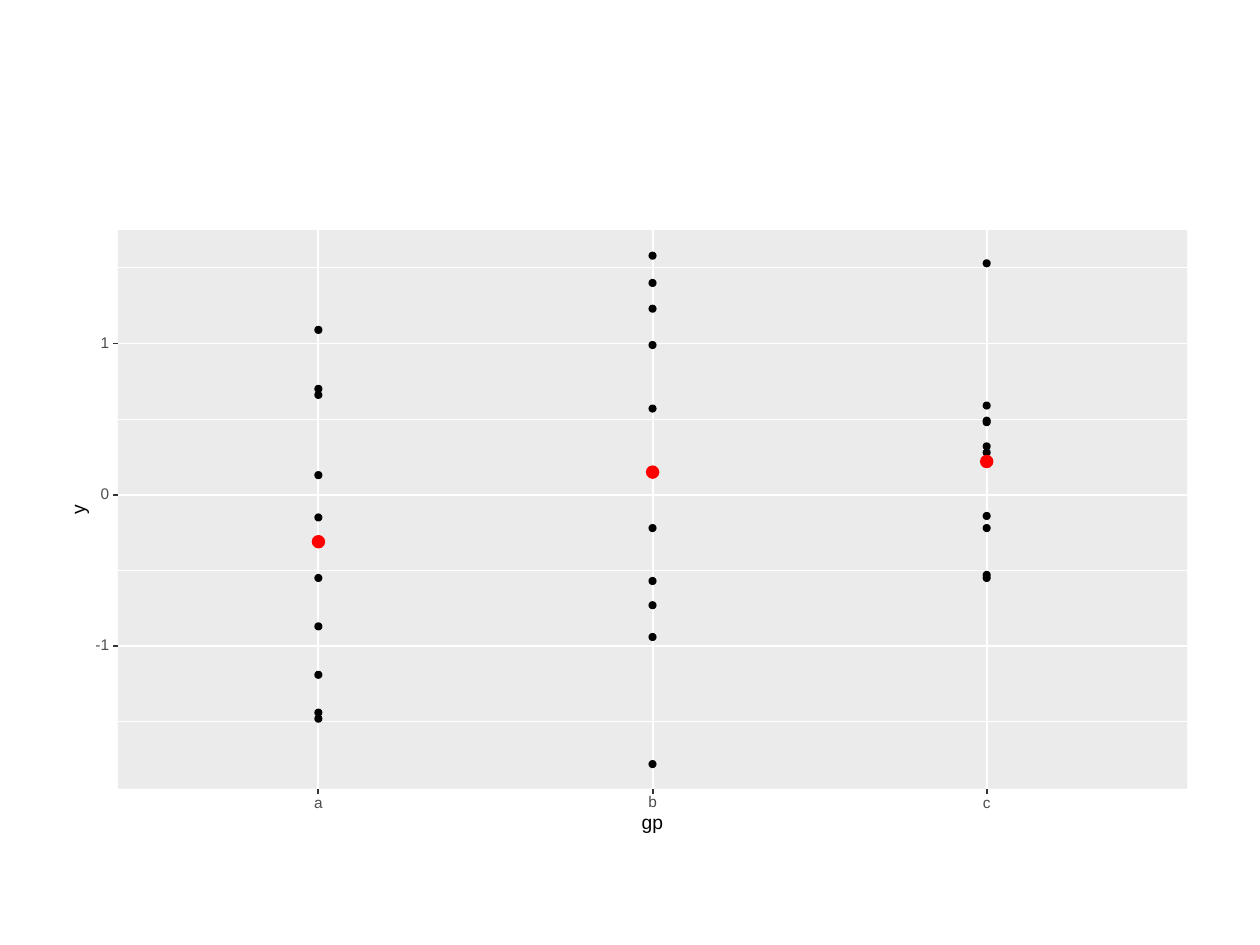
from lxml import etree
from pptx import Presentation
from pptx.dml.color import RGBColor
from pptx.enum.shapes import MSO_CONNECTOR, MSO_SHAPE
from pptx.enum.text import MSO_ANCHOR
from pptx.oxml.ns import qn
from pptx.util import Pt

STRAIGHT = MSO_CONNECTOR.STRAIGHT
RECTANGLE = MSO_SHAPE.RECTANGLE
OVAL = MSO_SHAPE.OVAL
MIDDLE = MSO_ANCHOR.MIDDLE

COLORS = {
    "white": "FFFFFF",
    "panel": "EBEBEB",
    "point": "000000",
    "mean": "FF0000",
    "tick": "333333",
    "label": "4D4D4D",
    "title": "000000",
}
THIN, THICK, OUTLINE = 0.53, 1.07, 0.71
TICK = 2.74
LEFT, TOP, WIDTH, HEIGHT = 67.4, 131.5, 611, 319.2
RIGHT, BOTTOM = LEFT + WIDTH, TOP + HEIGHT
ZERO, UNIT = 282.75, 86.45
STEP = WIDTH / 3.2

observations = {
    "a": [0.7, -1.19, -0.55, -1.44, -0.15, -1.48, -0.87, 0.13, 1.09, 0.66],
    "b": [-0.94, -0.22, 1.58, 1.23, 0.99, 1.4, -1.78, -0.73, -0.57, 0.57],
    "c": [-0.22, 0.32, -0.53, -0.55, 0.59, 0.49, 0.48, 1.53, -0.14, 0.28],
}
means = {"a": -0.31, "b": 0.15, "c": 0.22}
group_x = {name: LEFT + STEP * (0.6 + index) for index, name in enumerate(observations)}
major_y = {value: ZERO - value * UNIT for value in (-1, 0, 1)}
minor_y = [ZERO - value * UNIT for value in (-1.5, -0.5, 0.5, 1.5)]

presentation = Presentation()
presentation.slide_width, presentation.slide_height = Pt(720), Pt(540)
slide = presentation.slides.add_slide(presentation.slide_layouts[6])
plot = slide.shapes.add_group_shape().shapes


def add_filled(kind, box, fill, outline=None):
    shape = plot.add_shape(kind, *map(Pt, box))
    shape.shadow.inherit = False
    shape.fill.solid()
    shape.fill.fore_color.rgb = RGBColor.from_string(COLORS[fill])
    if outline:
        shape.line.color.rgb = RGBColor.from_string(COLORS[fill])
        shape.line.width = Pt(outline)
    else:
        shape.line.fill.background()


def add_line(ends, color, width):
    connector = plot.add_connector(STRAIGHT, *map(Pt, ends))
    connector.line.color.rgb = RGBColor.from_string(COLORS[color])
    connector.line.width = Pt(width)
    etree.SubElement(connector._element.spPr, qn("a:effectLst"))


add_filled(RECTANGLE, (36, 126, 648, 356.4), "white", THICK)
add_filled(RECTANGLE, (LEFT, TOP, WIDTH, HEIGHT), "panel")

for y in minor_y:
    add_line((LEFT, y, RIGHT, y), "white", THIN)
for y in reversed(major_y.values()):
    add_line((LEFT, y, RIGHT, y), "white", THICK)
for x in group_x.values():
    add_line((x, BOTTOM, x, TOP), "white", THICK)

dots = [(name, value, 3.9, "point") for name in observations for value in observations[name]]
dots += [(name, value, 7, "mean") for name, value in means.items()]
for name, value, size, color in dots:
    x, y = group_x[name] - size / 2, ZERO - value * UNIT - size / 2
    add_filled(OVAL, (x, y, size, size), color, OUTLINE)

axis = {"size": 8.8, "color": "label", "rotation": 0}
title = {"size": 11, "color": "title", "rotation": 0}
texts = []
for value, y in major_y.items():
    add_line((LEFT - TICK, y, LEFT, y), "tick", THICK)
    width = 7.85 if value < 0 else 4.9
    texts.append((str(value), (62.4 - width, y - 3.15, width, 6.3), axis))
for x in group_x.values():
    add_line((x, BOTTOM + TICK, x, BOTTOM), "tick", THICK)
for name, width, height in (("a", 4.9, 4.8), ("b", 4.9, 6.4), ("c", 4.4, 4.8)):
    texts.append((name, (group_x[name] - width / 2, 461.9 - height, width, height), axis))
texts.append(("gp", (LEFT + WIDTH / 2 - 6.25, 466.6, 12.5, 7.9), title))
texts.append(("y", (42.6, TOP + HEIGHT / 2 - 3.95, 5.5, 7.9), title | {"rotation": 270}))

frame_format = {
    "margin_left": 0,
    "margin_right": 0,
    "margin_top": 0,
    "margin_bottom": 0,
    "vertical_anchor": MIDDLE,
    "word_wrap": False,
}
for text, box, style in texts:
    text_box = plot.add_textbox(*map(Pt, box))
    text_box.rotation = style["rotation"]
    for attribute, setting in frame_format.items():
        setattr(text_box.text_frame, attribute, setting)
    paragraph = text_box.text_frame.paragraphs[0]
    paragraph.line_spacing = Pt(style["size"])
    run = paragraph.add_run()
    run.text = text
    for attribute, setting in {"name": "Arial", "size": Pt(style["size"])}.items():
        setattr(run.font, attribute, setting)
    run.font.color.rgb = RGBColor.from_string(COLORS[style["color"]])

presentation.save("out.pptx")
